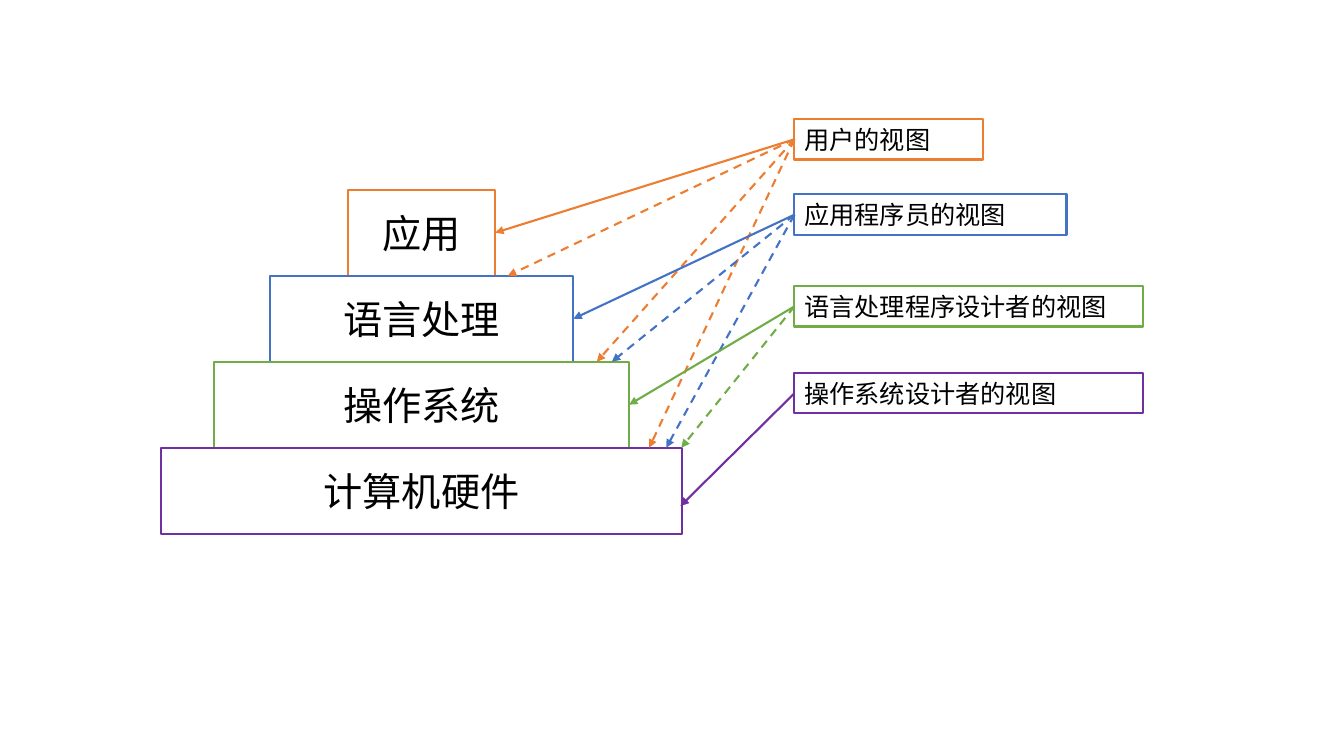
from lxml import etree
from pptx import Presentation
from pptx.dml.color import RGBColor
from pptx.enum.dml import MSO_LINE
from pptx.enum.shapes import MSO_CONNECTOR, MSO_SHAPE
from pptx.enum.text import MSO_ANCHOR, PP_ALIGN
from pptx.oxml.ns import qn
from pptx.util import Cm, Pt

RECTANGLE = MSO_SHAPE.RECTANGLE
STRAIGHT = MSO_CONNECTOR.STRAIGHT
DASH = MSO_LINE.DASH
MIDDLE = MSO_ANCHOR.MIDDLE
LEFT, CENTER = PP_ALIGN.LEFT, PP_ALIGN.CENTER
LEFT_SITE, RIGHT_SITE = 1, 3

FONT = "Noto Sans CJK SC"
LINE_WIDTH = Pt(1.5)
COLORS = {
    "user": "ED7D31",
    "application": "4472C4",
    "language": "70AD47",
    "system": "7030A0",
    "text": "000000",
}

# Label, width (cm), colour; from the top layer down
LAYERS = [
    ("应用", 3.71, "user"),
    ("语言处理", 7.65, "application"),
    ("操作系统", 10.46, "language"),
    ("计算机硬件", 13.13, "system"),
]
# Label, offset from the top of the column and width (cm), colour
VIEWS = [
    ("用户的视图", 0, 4.75, "user"),
    ("应用程序员的视图", 1.9, 6.86, "application"),
    ("语言处理程序设计者的视图", 4.21, 8.79, "language"),
    ("操作系统设计者的视图", 6.4, 8.79, "system"),
]
# For each view, where its dashed arrows meet the tops of the lower layers (cm)
INDIRECT_ENDS = [[12.8, 15.04, 16.36], [15.42, 16.79], [17.17], []]
HARDWARE_ARROW_END = (17.15, 12.75)


def add_labelled_box(slide, label, box, color, size, alignment):
    shape = slide.shapes.add_shape(RECTANGLE, *(Cm(length) for length in box))
    shape.shadow.inherit = False
    shape.fill.background()
    shape.line.color.rgb = RGBColor.from_string(COLORS[color])
    shape.line.width = LINE_WIDTH
    frame = shape.text_frame
    frame.word_wrap = True
    frame.vertical_anchor = MIDDLE
    paragraph = frame.paragraphs[0]
    paragraph.text = label
    paragraph.alignment = alignment
    font = paragraph.font
    font.size = Pt(size)
    font.color.rgb = RGBColor.from_string(COLORS["text"])
    font.name = FONT
    properties = paragraph._p.pPr.find(qn("a:defRPr"))
    etree.SubElement(properties, qn("a:ea")).set("typeface", FONT)
    return shape


def add_layers(slide, left, top, width, height):
    """Stack the layers, centred, in rows of equal height."""
    row_height = height / len(LAYERS)
    return [
        add_labelled_box(
            slide, label,
            (left + (width - layer_width) / 2, top + row * row_height,
             layer_width, row_height),
            color, 28, CENTER)
        for row, (label, layer_width, color) in enumerate(LAYERS)
    ]


def add_views(slide, left, top, box_height):
    return [
        add_labelled_box(slide, label, (left, top + offset, width, box_height),
                         color, 18, LEFT)
        for label, offset, width, color in VIEWS
    ]


def add_arrow(slide, view, end_x, end_y, color, dashed=False):
    """Draw an arrow from the left side of a view to a point."""
    arrow = slide.shapes.add_connector(
        STRAIGHT, view.left, view.top + view.height // 2, end_x, end_y)
    arrow.begin_connect(view, LEFT_SITE)
    arrow.line.color.rgb = RGBColor.from_string(COLORS[color])
    arrow.line.width = LINE_WIDTH
    if dashed:
        arrow.line.dash_style = DASH
    line = arrow.line._get_or_add_ln()
    etree.SubElement(line, qn("a:tailEnd")).set("type", "triangle")
    etree.SubElement(arrow._element.spPr, qn("a:effectLst"))
    return arrow


def add_view_arrows(slide, views, layers):
    """Link each view to its own layer (solid) and those below (dashed)."""
    for index, (view, layer) in enumerate(zip(views, layers)):
        color = VIEWS[index][-1]
        if layer is layers[-1]:
            end_x, end_y = HARDWARE_ARROW_END
            add_arrow(slide, view, Cm(end_x), Cm(end_y), color)
        else:
            arrow = add_arrow(slide, view, layer.left + layer.width,
                              layer.top + layer.height // 2, color)
            arrow.end_connect(layer, RIGHT_SITE)
        for end_x, lower in zip(INDIRECT_ENDS[index], layers[index + 1:]):
            add_arrow(slide, view, Cm(end_x), lower.top, color, dashed=True)


def main():
    presentation = Presentation()
    presentation.slide_width = Cm(33.87)
    presentation.slide_height = Cm(19.05)
    slide = presentation.slides.add_slide(presentation.slide_layouts[6])
    layers = add_layers(slide, 4.06, 4.78, 13.13, 8.67)
    views = add_views(slide, 20.02, 3, 1.02)
    add_view_arrows(slide, views, layers)
    presentation.save("out.pptx")


if __name__ == "__main__":
    main()
